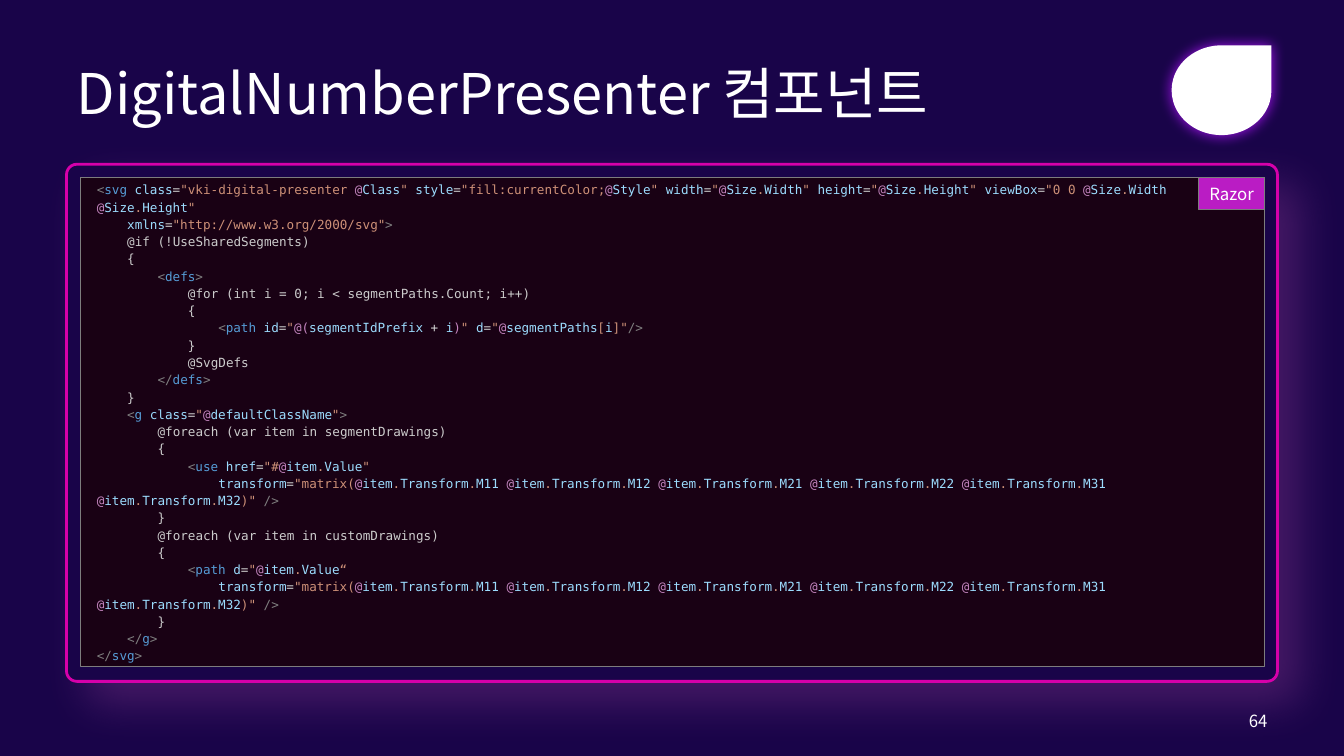
from lxml import etree
from pptx import Presentation
from pptx.dml.color import RGBColor
from pptx.enum.shapes import MSO_SHAPE
from pptx.enum.text import MSO_ANCHOR, MSO_AUTO_SIZE, PP_ALIGN
from pptx.oxml.ns import qn
from pptx.util import Inches, Pt

RECT, ROUND, TEAR = MSO_SHAPE.RECTANGLE, MSO_SHAPE.ROUNDED_RECTANGLE, MSO_SHAPE.TEAR
LEFT, CENTER, RIGHT = PP_ALIGN.LEFT, PP_ALIGN.CENTER, PP_ALIGN.RIGHT
MIDDLE, NO_FIT = MSO_ANCHOR.MIDDLE, MSO_AUTO_SIZE.NONE
SANS, MONO = "Noto Sans CJK KR", "DejaVu Sans Mono"

COLORS = {
    "back": "190449", "panel": "190114", "edge": "7D7D7D", "frame": "D600AA",
    "haze": "E566CC", "label": "BA1CC4", "glow": "A213EC", "white": "FFFFFF",
    "tag": "808080", "name": "569CD6", "attr": "9CDCFE", "text": "CCCCCC",
    "str": "CE9178", "at": "C586C0", "sign": "D4D4D4",
}


def ref(*names):
    return "at:@|attr:" + "|str:.|attr:".join(names)


def start(name):
    return f"tag:<|name:{name} |"


def close(name):
    return f"tag:</|name:{name}|tag:>"


def attr(name, value):
    return f'attr:{name}|text:=|str:"{value}'


cells = "|".join(ref("item", "Transform", f"M{c} ") for c in (11, 12, 21, 22, 31))
matrix = (attr("transform", "matrix(") + "|" + cells + "|"
          + ref("item", "Transform", "M32") + '|str:)" |tag:/>')

CODE = [
    (0, start("svg") + "|".join([
        attr("class", "vki-digital-presenter "), ref("Class"), 'str:" ',
        attr("style", "fill:currentColor;"), ref("Style"), 'str:" ',
        attr("width", ""), ref("Size", "Width"), 'str:" ',
        attr("height", ""), ref("Size", "Height"), 'str:" ',
        attr("viewBox", "0 0 "), ref("Size", "Width "), ref("Size", "Height"),
        'str:"'])),
    (1, attr("xmlns", 'http://www.w3.org/2000/svg"') + "|tag:>"),
    (1, "text:@if (!UseSharedSegments)"),
    (1, "text:{"),
    (2, "tag:<|name:defs|tag:>"),
    (3, "text:@for (int i = 0; i < segmentPaths.Count; i++)"),
    (3, "text:{"),
    (4, start("path") + "|".join([
        attr("id", ""), "at:@(|attr:segmentIdPrefix |sign:+ |attr:i|at:)", 'str:" ',
        attr("d", ""), ref("segmentPaths"), 'str:[|attr:i|str:]"|tag:/>'])),
    (3, "text:}"),
    (3, "text:@SvgDefs"),
    (2, close("defs")),
    (1, "text:}"),
    (1, start("g") + attr("class", "") + "|" + ref("defaultClassName") + '|str:"|tag:>'),
    (2, "text:@foreach (var item in segmentDrawings)"),
    (2, "text:{"),
    (3, start("use") + attr("href", "#") + "|" + ref("item", "Value") + '|str:"'),
    (4, matrix),
    (2, "text:}"),
    (2, "text:@foreach (var item in customDrawings)"),
    (2, "text:{"),
    (3, start("path") + attr("d", "") + "|" + ref("item", "Value") + "|str:“"),
    (4, matrix),
    (2, "text:}"),
    (1, close("g")),
    (0, close("svg")),
]


class Deck:
    def __init__(self):
        self.file = Presentation()
        self.file.slide_width, self.file.slide_height = Inches(13.33), Inches(7.5)
        self.slide = self.file.slides.add_slide(self.file.slide_layouts[1])
        self.shapes = self.slide.shapes
        self.paint(self.slide.background.fill, "back")

    def paint(self, fill, key):
        fill.solid()
        fill.fore_color.rgb = RGBColor.from_string(COLORS[key])

    def place(self, shape, box):
        shape.left, shape.top, shape.width, shape.height = [Inches(v) for v in box]

    def edge(self, shape, key, width):
        self.paint(shape.line.fill, key)
        shape.line.width = Pt(width)

    def shape(self, kind, box, fill, line=None, width=0):
        item = self.shapes.add_shape(kind, *[Inches(v) for v in box])
        item.shadow.inherit = False
        self.paint(item.fill, fill)
        if line:
            self.edge(item, line, width)
        else:
            item.line.fill.background()
        return item

    def shadow(self, shape, key, alpha, blur, dist, angle):
        effects = shape._element.spPr.find(qn("a:effectLst"))
        outer = etree.SubElement(
            effects, qn("a:outerShdw"), blurRad=str(Pt(blur)), dist=str(Pt(dist)),
            dir=str(angle * 60000), algn="ctr", rotWithShape="0")
        color = etree.SubElement(outer, qn("a:srgbClr"), val=COLORS[key])
        etree.SubElement(color, qn("a:alpha"), val=str(alpha * 1000))

    def frame(self, shape, pad_x, pad_y):
        text = shape.text_frame
        text.word_wrap = True
        text.auto_size = NO_FIT
        text.vertical_anchor = MIDDLE
        text.margin_left = text.margin_right = Inches(pad_x)
        text.margin_top = text.margin_bottom = Inches(pad_y)
        return text

    def run(self, para, text, key, size, face):
        run = para.add_run()
        run.text = text
        run.font.size = Pt(size)
        run.font.name = face
        self.paint(run.font.fill, key)
        etree.SubElement(run.font._element, qn("a:ea"), typeface=face)

    def line(self, shape, text, size, align, pad_x=0.1, pad_y=0.05):
        para = self.frame(shape, pad_x, pad_y).paragraphs[0]
        para.alignment = align
        self.run(para, text, "white", size, SANS)

    def title(self, text, box):
        self.place(self.shapes.title, box)
        self.line(self.shapes.title, text, 40, LEFT)

    def code(self, lines, box):
        body = self.slide.placeholders[1]
        self.place(body, box)
        self.paint(body.fill, "panel")
        self.edge(body, "edge", 0.75)
        text = self.frame(body, 0.16, 0.12)
        for row, (level, line) in enumerate(lines):
            para = text.add_paragraph() if row else text.paragraphs[0]
            props = para._p.get_or_add_pPr()
            props.set("marL", "0")
            props.set("indent", "0")
            etree.SubElement(props, qn("a:buNone"))
            para.alignment = LEFT
            para.line_spacing = 1.14
            para.space_before = Pt(0)
            lead = "    " * level
            for part in line.split("|"):
                key, word = part.split(":", 1)
                self.run(para, lead + word, key, 9, MONO)
                lead = ""

    def panel(self, box):
        item = self.shape(ROUND, box, "back", "frame", 2)
        item.adjustments[0] = 0.02
        self.shadow(item, "haze", 22, 32, 21, 45)
        self.shapes._spTree.insert(2, item._element)

    def label(self, text, box):
        item = self.shape(RECT, box, "label", "edge", 0.75)
        self.line(item, text, 12, CENTER, 0, 0)

    def number(self, text, box):
        item = self.shapes.add_textbox(*[Inches(v) for v in box])
        self.line(item, text, 12, RIGHT)

    def mark(self, box):
        item = self.shape(TEAR, box, "white")
        self.shadow(item, "glow", 100, 10, 0, 45)


def main():
    deck = Deck()
    deck.panel((0.66, 1.63, 12.01, 5.13))
    deck.title("DigitalNumberPresenter 컴포넌트", (0.66, 0.4, 12.01, 1.03))
    deck.number("64", (11.11, 6.95, 1.56, 0.4))
    deck.code(CODE, (0.8, 1.76, 11.74, 4.85))
    deck.label("Razor", (11.89, 1.76, 0.65, 0.32))
    deck.mark((11.62, 0.45, 0.99, 0.89))
    deck.file.save("out.pptx")


if __name__ == "__main__":
    main()
